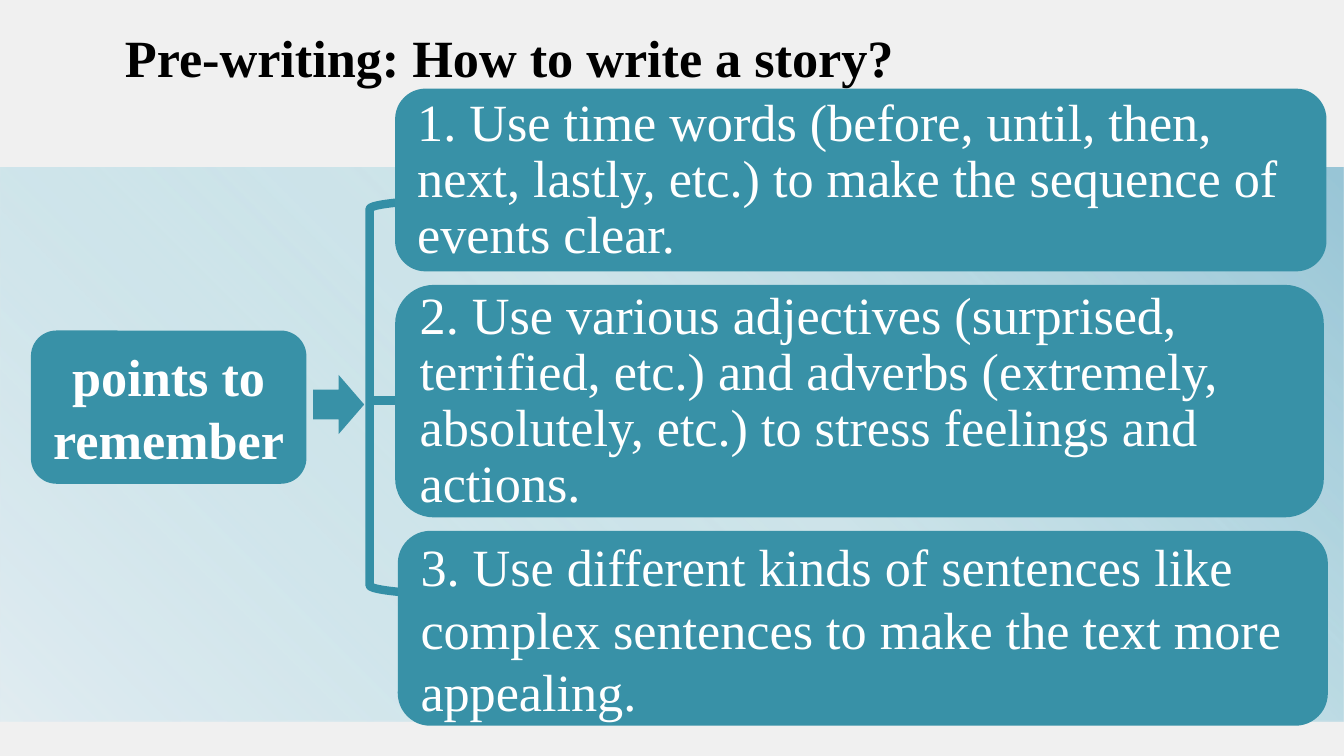
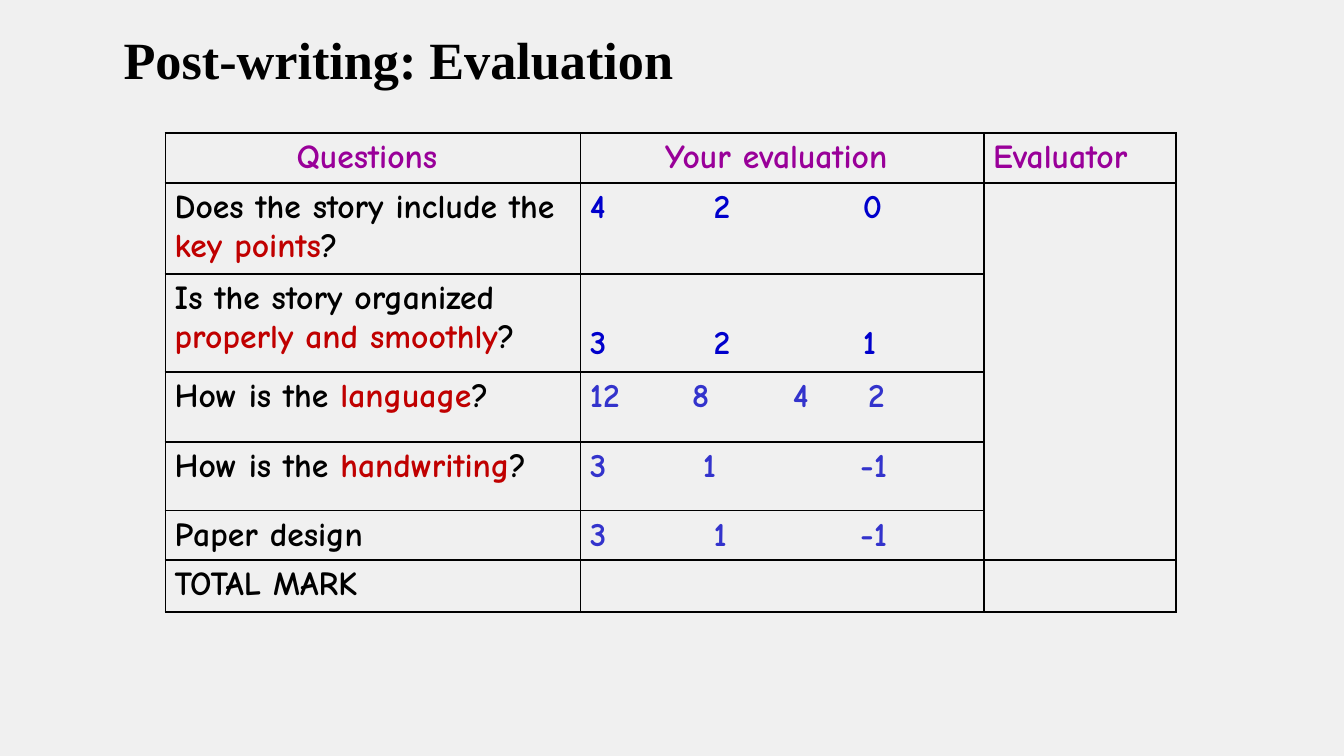
from lxml import etree
from pptx import Presentation
from pptx.dml.color import RGBColor
from pptx.enum import shapes, text
from pptx.oxml import parse_xml
from pptx.oxml.ns import nsdecls, qn
from pptx.util import Inches, Pt

PAPER = RGBColor(0xF0, 0xF0, 0xF0)
TEAL = RGBColor(0x38, 0x91, 0xA7)
BRACKET = RGBColor(0x34, 0x8F, 0xA6)
BLACK = RGBColor(0, 0, 0)
WHITE = RGBColor(0xFF, 0xFF, 0xFF)
PURPLE = RGBColor(0x99, 0, 0x99)
RED = RGBColor(0xC0, 0, 0)
BLUE = RGBColor(0, 0, 0xCC)
INDIGO = RGBColor(0x33, 0x33, 0xCC)
# Band gradient: position and alpha in percent
BAND_STOPS = [(0, RGBColor(0x98, 0xC5, 0xD6), 100),
              (46, RGBColor(0xA9, 0xD7, 0xE2), 48),
              (100, RGBColor(0xE1, 0xEC, 0xF1), 100)]
SERIF, COMIC = "Times New Roman", "Comic Neue"
SHAPE = shapes.MSO_SHAPE
LEFT, CENTER = text.PP_ALIGN.LEFT, text.PP_ALIGN.CENTER


def add_run(p, words, font=SERIF, size=28, color=WHITE, bold=False):
    r = p.add_run()
    r.text = words
    r.font.name, r.font.size, r.font.bold = font, Pt(size), bold
    r.font.color.rgb = color


class Deck:
    def __init__(self):
        self.prs = Presentation()
        # Widescreen, 16:9
        self.prs.slide_width, self.prs.slide_height = Inches(10), Inches(10 * 9 / 16)
        self.slide = None

    def new_slide(self, title, left, top, width):
        self.slide = self.prs.slides.add_slide(self.prs.slide_layouts[5])
        fill = self.slide.background.fill
        fill.solid()
        fill.fore_color.rgb = PAPER
        sp = self.slide.shapes.title
        sp.left, sp.top = Inches(left), Inches(top)
        sp.width, sp.height = Inches(width), Inches(0.57)
        tf = sp.text_frame
        tf.word_wrap = True
        tf.auto_size = text.MSO_AUTO_SIZE.NONE
        tf.vertical_anchor = text.MSO_ANCHOR.TOP
        tf.paragraphs[0].alignment = LEFT
        add_run(tf.paragraphs[0], title, color=BLACK, bold=True)

    def shape(self, kind, left, top, width, height, fill=TEAL):
        sp = self.slide.shapes.add_shape(
            kind, Inches(left), Inches(top), Inches(width), Inches(height))
        sp.shadow.inherit = False
        sp.line.fill.background()
        if fill is None:
            sp.fill.background()
        else:
            sp.fill.solid()
            sp.fill.fore_color.rgb = fill
        return sp

    def band(self, top, height):
        sp = self.shape(SHAPE.RECTANGLE, 0, top, 10, height, fill=None)
        stops = "".join(
            f'<a:gs pos="{pos * 1000}"><a:srgbClr val="{color}">'
            f'<a:alpha val="{alpha * 1000}"/></a:srgbClr></a:gs>'
            for pos, color, alpha in BAND_STOPS)
        grad = parse_xml(
            f'<a:gradFill {nsdecls("a")}><a:gsLst>{stops}</a:gsLst>'
            '<a:path path="circle"><a:fillToRect l="100000" b="100000"/></a:path>'
            '</a:gradFill>')
        spPr = sp._element.spPr
        spPr.replace(spPr.find(qn("a:noFill")), grad)

    def card(self, words, left, top, width, height, align=LEFT, bold=False, spacing=None):
        sp = self.shape(SHAPE.ROUNDED_RECTANGLE, left, top, width, height)
        tf = sp.text_frame
        tf.word_wrap = True
        tf.vertical_anchor = text.MSO_ANCHOR.MIDDLE
        p = tf.paragraphs[0]
        p.alignment = align
        if spacing:
            p.line_spacing = Pt(spacing)
        add_run(p, words, bold=bold)

    def bracket(self, left, top, width, height):
        sp = self.shape(SHAPE.LEFT_BRACKET, left, top, width, height, fill=None)
        self.stroke(sp)

    def line(self, x1, y1, x2, y2):
        cxn = self.slide.shapes.add_connector(
            shapes.MSO_CONNECTOR.STRAIGHT, Inches(x1), Inches(y1), Inches(x2), Inches(y2))
        self.stroke(cxn)
        etree.SubElement(cxn._element.spPr, qn("a:effectLst"))

    def stroke(self, sp):
        sp.line.color.rgb = BRACKET
        sp.line.width = Pt(4.5)

    def table(self, left, top, cols, rows):
        frame = self.slide.shapes.add_table(
            len(rows), len(cols), Inches(left), Inches(top),
            Inches(sum(cols)), Inches(sum(rows)))
        tbl = frame.table
        tbl.first_row = tbl.horz_banding = False
        for col, width in zip(tbl.columns, cols):
            col.width = Inches(width)
        for row, height in zip(tbl.rows, rows):
            row.height = Inches(height)
        for cell in tbl.iter_cells():
            cell.margin_left = cell.margin_right = Inches(0.07)
            cell.margin_top = cell.margin_bottom = Inches(0.04)
            tcPr = cell._tc.get_or_add_tcPr()
            for side in ("lnL", "lnR", "lnT", "lnB"):
                tcPr.append(parse_xml(
                    f'<a:{side} {nsdecls("a")} w="12700"><a:solidFill>'
                    f'<a:srgbClr val="{BLACK}"/></a:solidFill></a:{side}>'))
            cell.fill.background()
        return tbl

    def cell(self, cell, runs, align=LEFT, tabs=()):
        p = cell.text_frame.paragraphs[0]
        p.alignment = align
        for words, color in runs:
            add_run(p, words, font=COMIC, size=18, color=color, bold=True)
        if tabs:
            tab_list = etree.SubElement(p._p.get_or_add_pPr(), qn("a:tabLst"))
            for pos in tabs:
                etree.SubElement(tab_list, qn("a:tab"), pos=str(Inches(pos)), algn="l")


def story_points(deck):
    deck.new_slide("Pre-writing: How to write a story?", 0.83, 0.14, 7.66)
    deck.band(1.25, 4.12)
    deck.card("points to remember", 0.23, 2.46, 2.05, 1.14, align=CENTER, bold=True)

    # Bracket joining the three points
    deck.bracket(2.75, 1.48, 0.9, 2.95)
    deck.line(2.77, 2.98, 3.56, 2.98)

    # Points
    deck.card("2. Use various adjectives (surprised, terrified, etc.) and adverbs "
              "(extremely, absolutely, etc.) to stress feelings and actions.",
              2.94, 2.12, 6.91, 1.73, spacing=30)
    deck.card("3. Use different kinds of sentences like complex sentences "
              "to make the text more appealing.", 2.96, 3.95, 6.92, 1.45)
    deck.card("1. Use time words (before, until, then, next, lastly, etc.) "
              "to make the sequence of events clear.",
              2.94, 0.66, 6.93, 1.36, spacing=30)
    deck.shape(SHAPE.RIGHT_ARROW, 2.33, 2.79, 0.38, 0.44)


def evaluation(deck):
    deck.new_slide("Post-writing: Evaluation", 0.82, 0.15, 8.85)
    tbl = deck.table(1.23, 0.99, [3.09, 3, 1.43],
                     [0.37, 0.68, 0.73, 0.52, 0.51, 0.37, 0.37])
    tbl.cell(1, 2).merge(tbl.cell(5, 2))

    # Header
    headers = [("Questions ", CENTER), ("Your evaluation ", CENTER), ("Evaluator", LEFT)]
    for c, (words, align) in enumerate(headers):
        deck.cell(tbl.cell(0, c), [(words, PURPLE)], align)

    # Questions: lead, key words, ending; then scores, their colour and tab stops
    questions = [
        ("Does the story include the ", "key points", "?", "4\t2\t0", BLUE, (0.92, 2.03)),
        ("Is the story organized ", "properly and smoothly", "?", "3\t2\t1", BLUE, (0.92, 2.03)),
        ("How is the ", "language", "?", "12\t8\t4\t2", INDIGO, (0.76, 1.51, 2.07)),
        ("How is the ", "handwriting", "?", "3\t1\t-1", INDIGO, (0.84, 2.01)),
        ("Paper design", "", "", "3\t1\t-1", INDIGO, (0.92, 2.01)),
        ("TOTAL MARK", "", "", "", INDIGO, ()),
    ]
    for row, (lead, key, end, scores, color, tabs) in enumerate(questions, 1):
        parts = [(lead, BLACK), (key, RED), (end, BLACK)]
        deck.cell(tbl.cell(row, 0), [part for part in parts if part[0]])
        if scores:
            deck.cell(tbl.cell(row, 1), [(scores, color)], tabs=tabs)
    # Scores level with the second line of their question
    tbl.cell(2, 1).margin_top = Inches(0.37)


def main():
    deck = Deck()
    story_points(deck)
    evaluation(deck)
    deck.prs.save("out.pptx")


if __name__ == "__main__":
    main()
